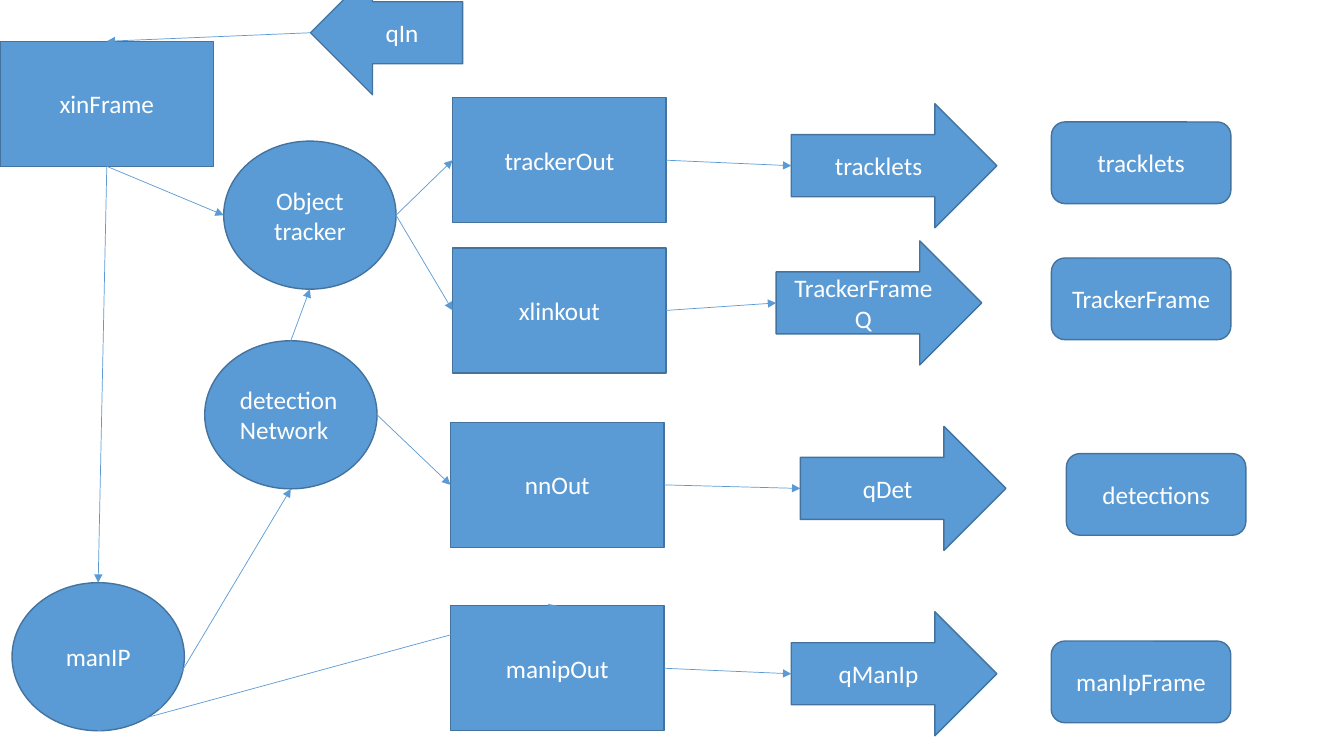
from dataclasses import dataclass

from lxml import etree
from pptx import Presentation
from pptx.dml.color import RGBColor
from pptx.enum.shapes import MSO_CONNECTOR, MSO_SHAPE
from pptx.enum.text import MSO_ANCHOR, PP_ALIGN
from pptx.oxml.ns import qn
from pptx.util import Pt

RECTANGLE = MSO_SHAPE.RECTANGLE
ELLIPSE = MSO_SHAPE.OVAL
ARROW = MSO_SHAPE.RIGHT_ARROW
CARD = MSO_SHAPE.ROUNDED_RECTANGLE
STRAIGHT = MSO_CONNECTOR.STRAIGHT
MIDDLE = MSO_ANCHOR.MIDDLE
CENTER = PP_ALIGN.CENTER
LEFT = PP_ALIGN.LEFT


@dataclass(frozen=True)
class Theme:
    fill: RGBColor = RGBColor(0x5B, 0x9B, 0xD5)
    outline: RGBColor = RGBColor(0x43, 0x73, 0x9E)
    text: RGBColor = RGBColor(0xFF, 0xFF, 0xFF)
    font: str = "Calibri"
    text_size: float = 18
    outline_width: float = 1
    connector_width: float = 0.5


THEME = Theme()

# Width and height of each kind of node, in points
SIZES = {
    RECTANGLE: (152.6, 89.3),
    ELLIPSE: (123.1, 105.8),
    ARROW: (146.9, 88.6),
    CARD: (128.2, 58.3),
}
INPUT_ARROW_SIZE = (108.7, 88.6)

# Horizontal and vertical fraction of the shape for each connection side
SIDES = {
    "top": (0.5, 0),
    "left": (0, 0.5),
    "bottom": (0.5, 1),
    "right": (1, 0.5),
    "lower right": (0.854, 0.854),
}
RECTANGLE_SITES = {"top": 0, "left": 1, "bottom": 2, "right": 3}

# Row origin, node, queue and its offset, result and its offset
OUTPUT_ROWS = [
    ((323.3, 69.8), "trackerOut", "tracklets", (241.9, 4.3), "tracklets", (427.7, 17.3)),
    ((323.3, 177.1), "xlinkout", "TrackerFrameQ", (231.1, -5), "TrackerFrame", (427.7, 7.2)),
    ((321.8, 301.7), "nnOut", "qDet", (249.9, 2.9), "detections", (439.9, 22.3)),
    ((321.8, 432.7), "manipOut", "qManIp", (243.4, 4.3), "manIpFrame", (429.1, 25.2)),
]


def add_node(slide, kind, origin, offset, text, size=None, alignment=CENTER):
    width, height = size or SIZES[kind]
    left, top = origin[0] + offset[0], origin[1] + offset[1]
    shape = slide.shapes.add_shape(kind, Pt(left), Pt(top), Pt(width), Pt(height))
    shape.shadow.inherit = False
    shape.fill.solid()
    shape.fill.fore_color.rgb = THEME.fill
    shape.line.color.rgb = THEME.outline
    shape.line.width = Pt(THEME.outline_width)

    frame = shape.text_frame
    frame.word_wrap = True
    frame.vertical_anchor = MIDDLE
    paragraph = frame.paragraphs[0]
    paragraph.text = text
    paragraph.alignment = alignment
    paragraph.font.name = THEME.font
    paragraph.font.size = Pt(THEME.text_size)
    paragraph.font.color.rgb = THEME.text
    return shape


def side_point(shape, side):
    across, down = SIDES[side]
    return int(shape.left + across * shape.width), int(shape.top + down * shape.height)


def connect(slide, source, source_side, target, target_side):
    connector = slide.shapes.add_connector(
        STRAIGHT, *side_point(source, source_side), *side_point(target, target_side))
    connector.line.color.rgb = THEME.fill
    connector.line.width = Pt(THEME.connector_width)
    if source.auto_shape_type == RECTANGLE:
        connector.begin_connect(source, RECTANGLE_SITES[source_side])
    if target.auto_shape_type == RECTANGLE:
        connector.end_connect(target, RECTANGLE_SITES[target_side])

    # Arrowhead at the target, no shadow
    properties = connector.element.spPr
    etree.SubElement(properties.find(qn("a:ln")), qn("a:tailEnd"), type="triangle")
    etree.SubElement(properties, qn("a:effectLst"))


def add_processing(slide, origin):
    """Input queue, frame node and the three processing stages."""
    queue = add_node(slide, ARROW, origin, (221.8, -20.9), "qIn", INPUT_ARROW_SIZE)
    queue.element.spPr.find(qn("a:xfrm")).set("flipH", "1")
    frame = add_node(slide, RECTANGLE, origin, (0, 29.5), "xinFrame")
    tracker = add_node(slide, ELLIPSE, origin, (159.8, 100.8), "Object tracker")
    network = add_node(slide, ELLIPSE, origin, (146.2, 243.4), "detectionNetwork",
                       alignment=LEFT)
    manipulator = add_node(slide, ELLIPSE, origin, (8.6, 416.2), "manIP")

    connect(slide, queue, "left", frame, "top")
    connect(slide, frame, "bottom", tracker, "left")
    connect(slide, frame, "bottom", manipulator, "top")
    connect(slide, manipulator, "lower right", network, "bottom")
    connect(slide, network, "top", tracker, "bottom")
    return tracker, network, manipulator


def add_output_row(slide, origin, name, queue_name, queue_offset, result, result_offset):
    """Output node, its queue and the resulting data."""
    node = add_node(slide, RECTANGLE, origin, (0, 0), name)
    queue = add_node(slide, ARROW, origin, queue_offset, queue_name)
    add_node(slide, CARD, origin, result_offset, result)
    connect(slide, node, "right", queue, "left")
    return node


def main():
    presentation = Presentation()
    presentation.slide_width = Pt(960)
    presentation.slide_height = Pt(540)
    slide = presentation.slides.add_slide(presentation.slide_layouts[6])

    tracker, network, manipulator = add_processing(slide, (0, 0))
    tracker_out, link_out, network_out, manipulator_out = [
        add_output_row(slide, *row) for row in OUTPUT_ROWS]

    # Links from the processing stages to the output rows
    connect(slide, tracker, "right", tracker_out, "left")
    connect(slide, tracker, "right", link_out, "left")
    connect(slide, network, "right", network_out, "left")
    connect(slide, manipulator, "bottom", manipulator_out, "top")

    presentation.save("out.pptx")


if __name__ == "__main__":
    main()
